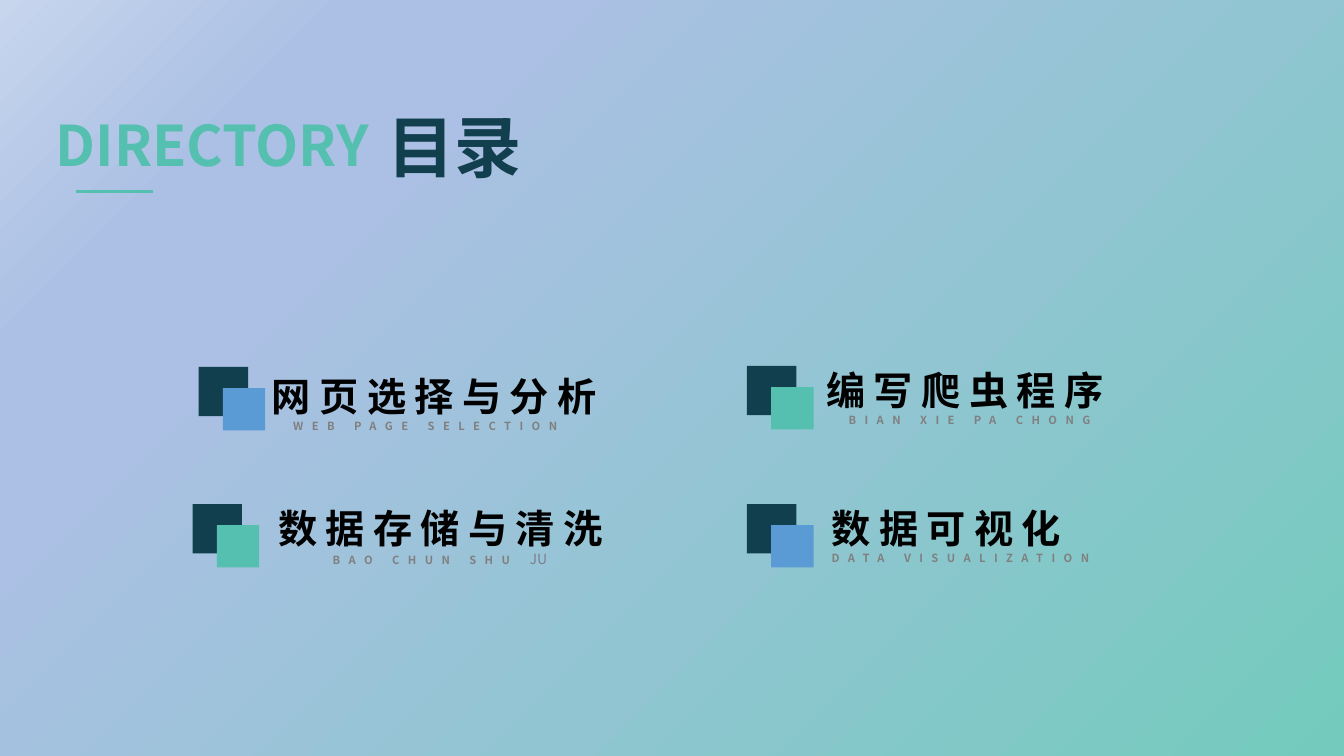
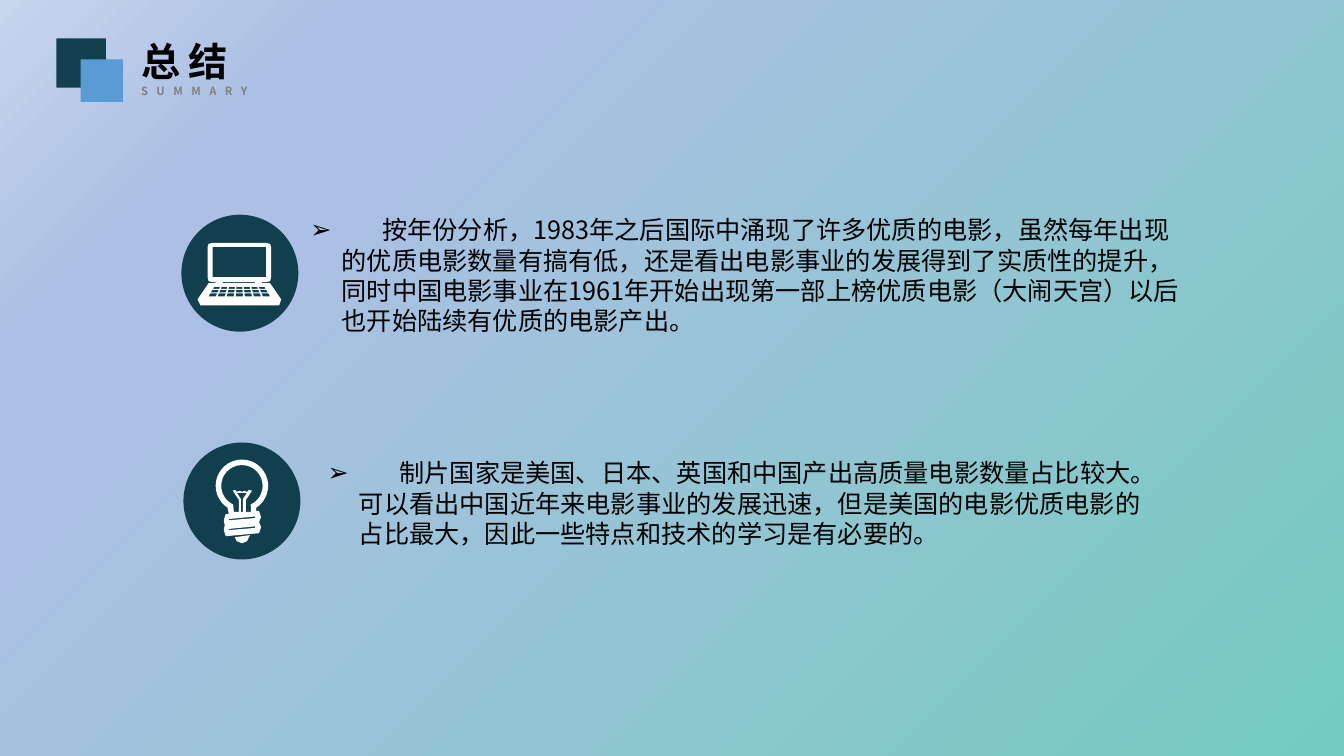
import math

import lxml.etree
import pptx
import pptx.dml.color
import pptx.enum.shapes
import pptx.enum.text
import pptx.oxml.ns
import pptx.util

RGB = pptx.dml.color.RGBColor
SHAPE = pptx.enum.shapes.MSO_SHAPE
ALIGN = pptx.enum.text.PP_ALIGN

NAVY = RGB(0x11, 0x3F, 0x4E)
TEAL = RGB(0x55, 0xC0, 0xAF)
BLUE = RGB(0x5B, 0x9B, 0xD5)
GREY = RGB(0x80, 0x80, 0x80)
SLATE = RGB(0x7E, 0x7E, 0x8C)
BLACK = RGB(0, 0, 0)
WHITE = RGB(0xFF, 0xFF, 0xFF)
STOPS = [
    (0, RGB(0x74, 0xCB, 0xBD)),
    (74, RGB(0xAB, 0xC0, 0xE4)),
    (83, RGB(0xAB, 0xC0, 0xE4)),
    (100, RGB(0xC7, 0xD5, 0xED)),
]
FONT = "Noto Sans CJK SC"
WIDTH = pptx.util.Inches(13.33)
HEIGHT = pptx.util.Inches(7.5)

# Places are percentages of the slide's width and height.
# Mark, its colour, text place, heading, subtitle, subtitle indent in inches
TOPICS = [
    ((14.78, 48.53), BLUE, (19.5, 48.53), "网页选择与分析", "WEB PAGE SELECTION", 0.21),
    ((55.58, 48.4), TEAL, (60.75, 47.73), "编写爬虫程序", "BIAN XIE PA CHONG", 0.22),
    ((14.33, 66.67), TEAL, (19.95, 66), "数据存储与清洗", "BAO CHUN SHU ", 0.54),
    ((55.58, 66.67), BLUE, (61.13, 66), "数据可视化", "DATA VISUALIZATION", 0),
]
POINTS = [
    ((22.35, 27.73, 66.83, 17.47),
     "按年份分析，1983年之后国际中涌现了许多优质的电影，虽然每年出现的优质电影数量有搞有低，"
     "还是看出电影事业的发展得到了实质性的提升，同时中国电影事业在1961年开始出现第一部上榜"
     "优质电影（大闹天宫）以后也开始陆续有优质的电影产出。"),
    ((23.63, 59.87, 62.63, 13.47),
     "制片国家是美国、日本、英国和中国产出高质量电影数量占比较大。可以看出中国近年来电影事业的"
     "发展迅速，但是美国的电影优质电影的占比最大，因此一些特点和技术的学习是有必要的。"),
]


def across(share):
    return pptx.util.Emu(round(WIDTH * share / 100))


def down(share):
    return pptx.util.Emu(round(HEIGHT * share / 100))


def area(x, y, w, h):
    return across(x), down(y), across(w), down(h)


def add_node(parent, tag, **attrs):
    return lxml.etree.SubElement(parent, pptx.oxml.ns.qn(tag), attrs)


def paint(master):
    """Give the master the diagonal gradient that all slides share."""
    fill = master.background.fill
    fill.gradient()
    fill.gradient_angle = 135
    stops = fill._fill._gradFill.find(pptx.oxml.ns.qn("a:gsLst"))
    for stop in list(stops):
        stops.remove(stop)
    for share, color in STOPS:
        stop = add_node(stops, "a:gs", pos=str(share * 1000))
        add_node(stop, "a:srgbClr", val=str(color))


def style(run, size, color, bold=False, gap=0):
    """Format a run; gap is the letter spacing in points."""
    run.font.size = pptx.util.Pt(size)
    run.font.bold = bold
    run.font.color.rgb = color
    run.font.name = FONT
    props = run._r.get_or_add_rPr()
    props.set("spc", str(round(gap * 100)))
    add_node(props, "a:ea", typeface=FONT)


def set_up(frame):
    frame.word_wrap = True
    frame.auto_size = pptx.enum.text.MSO_AUTO_SIZE.NONE
    frame.vertical_anchor = pptx.enum.text.MSO_ANCHOR.TOP


def move(holder, place):
    holder.left, holder.top, holder.width, holder.height = area(*place)
    set_up(holder.text_frame)
    return holder.text_frame


def add_text(slide, place):
    frame = slide.shapes.add_textbox(*area(*place)).text_frame
    set_up(frame)
    return frame


def write(frame, text, size, color, align=ALIGN.LEFT):
    frame.text = text
    line = frame.paragraphs[0]
    line.alignment = align
    style(line.runs[0], size, color, bold=True)


def head(frame, title, sub, indent=0):
    """Write a spaced heading over a small grey subtitle."""
    frame.text = title + "\n" + sub
    top, low = frame.paragraphs
    for line in (top, low):
        line.alignment = ALIGN.LEFT
    style(top.runs[0], 28, BLACK, True, 6)
    style(low.runs[0], 8, GREY, True, 6)
    low._p.get_or_add_pPr().set("marL", str(pptx.util.Inches(indent)))
    return low


def bullet(frame, text):
    frame.text = "　"
    line = frame.paragraphs[0]
    props = line._p.get_or_add_pPr()
    inset = pptx.util.Inches(0.31)
    props.set("marL", str(inset))
    props.set("indent", str(-inset))
    add_node(add_node(props, "a:buClr"), "a:srgbClr", val=str(BLACK))
    add_node(props, "a:buChar", char="➢")
    line.alignment = ALIGN.LEFT
    line.space_before = pptx.util.Pt(0)
    style(line.runs[0], 18, BLACK, gap=11)
    run = line.add_run()
    run.text = text
    style(run, 18, BLACK)


def tint(shape, color):
    shape.shadow.inherit = False
    shape.fill.solid()
    shape.fill.fore_color.rgb = color
    shape.line.fill.background()


def add_form(slide, kind, place, color):
    tint(slide.shapes.add_shape(kind, *area(*place)), color)


def add_mark(slide, x, y, color):
    """Draw the pair of overlapping squares beside a heading."""
    add_form(slide, SHAPE.RECTANGLE, (x, y, 3.68, 6.53), NAVY)
    add_form(slide, SHAPE.RECTANGLE, (x + 1.8, y + 2.8, 3.15, 5.6), color)


def add_rule(slide, x, y, end):
    rule = slide.shapes.add_connector(
        pptx.enum.shapes.MSO_CONNECTOR.STRAIGHT,
        across(x), down(y), across(end), down(y))
    rule.line.color.rgb = TEAL
    rule.line.width = pptx.util.Pt(2.25)
    add_node(rule._element.spPr, "a:effectLst")


def box(left, top, right, base):
    return [(left, top), (right, top), (right, base), (left, base)]


def arc(mid, size, start, end):
    turns = [math.radians(start + (end - start) * i / 40) for i in range(41)]
    return [(mid[0] + size * math.cos(t), mid[1] + size * math.sin(t)) for t in turns]


def laptop():
    """Outlines in hundredths of an inch; inner ones are holes."""
    body = [
        (27, 68), (34, 68), (34, 67), (31, 67), (27, 66), (26, 62), (26, 32),
        (27, 29), (31, 28), (84, 28), (88, 29), (89, 32), (89, 62), (88, 66),
        (84, 67), (80, 67), (80, 68), (88, 68), (99, 84), (97, 90), (19, 90), (16, 84),
    ]
    loops = [body, box(31, 32, 84, 62), box(41, 67, 73, 68)]

    def edge(step, y):
        half = 26 + (y - 72) * 0.6
        return 57.5 - half + 2 * half * step

    for top, base in ((71.7, 73.7), (74.6, 77), (78, 81)):
        for key in range(7):
            left, right = (key + 0.1) / 7, (key + 0.9) / 7
            loops.append([(edge(left, top), top), (edge(right, top), top),
                          (edge(right, base), base), (edge(left, base), base)])
    return loops


def bulb():
    """Outlines in hundredths of an inch; inner ones are holes."""
    mid = (58, 43)
    glass = arc(mid, 26, 123, 417) + [
        (72, 68), (75, 68), (77, 74), (75, 79), (77, 84), (75, 90), (42, 93),
        (40, 87), (41, 82), (40, 77), (42, 71), (45, 71),
    ]
    room = arc(mid, 20.5, 65, -245) + [
        (50, 69), (55, 69), (55, 57), (49, 48), (51, 47), (53, 49), (56, 48),
        (58, 49), (60, 48), (63, 49), (65, 47), (68, 48), (62, 57), (62, 69), (67, 69),
    ]
    wire = [(53, 50), (57, 56), (57, 69), (59, 69), (59, 56), (63, 50), (58, 50)]
    slits = [[(45, y), (71, y - 2.5), (71, y - 1), (45, y + 1.2)] for y in (76, 85.8)]
    tip = [(66, 92), (51, 94), (53, 98), (58, 100), (63, 98)]
    return [glass, room, wire, *slits, tip]


def add_icon(slide, x, y, loops):
    add_form(slide, SHAPE.OVAL, (x, y, 8.7, 15.47), NAVY)
    loops = [[(10 * px, 10 * py) for px, py in loop] for loop in loops]
    pen = slide.shapes.build_freeform(*loops[0][0], scale=914.4)
    for loop in loops:
        if loop is not loops[0]:
            pen.move_to(*loop[0])
        pen.add_line_segments(loop[1:], close=True)
    tint(pen.convert_to_shape(across(x), down(y)), WHITE)


def build_list(deck):
    slide = deck.slides.add_slide(deck.slide_layouts[5])
    write(move(slide.shapes.title, (28.05, 13.33, 14, 12.13)), "目录", 48, NAVY)
    write(add_text(slide, (2.93, 14, 25.73, 10.27)), "DIRECTORY", 40, TEAL, ALIGN.CENTER)
    add_rule(slide, 5.63, 25.33, 11.4)
    for mark, color, place, title, sub, indent in TOPICS:
        low = head(add_text(slide, (*place, 30, 9.6)), title, sub, indent)
        add_mark(slide, *mark, color)
        if sub.startswith("BAO"):
            tail = low.add_run()
            tail.text = "JU"
            style(tail, 10, SLATE)


def build_end(deck):
    slide = deck.slides.add_slide(deck.slide_layouts[3])
    head(move(slide.shapes.title, (9.75, 4.27, 20, 9.47)), "总结", "SUMMARY")
    add_mark(slide, 4.2, 5.07, BLUE)
    add_icon(slide, 13.5, 28.4, laptop())
    add_icon(slide, 13.65, 58.53, bulb())
    for spot, (place, text) in enumerate(POINTS, 1):
        bullet(move(slide.placeholders[spot], place), text)


def main():
    deck = pptx.Presentation()
    deck.slide_width, deck.slide_height = WIDTH, HEIGHT
    paint(deck.slide_master)
    build_list(deck)
    build_end(deck)
    deck.save("out.pptx")


if __name__ == "__main__":
    main()
